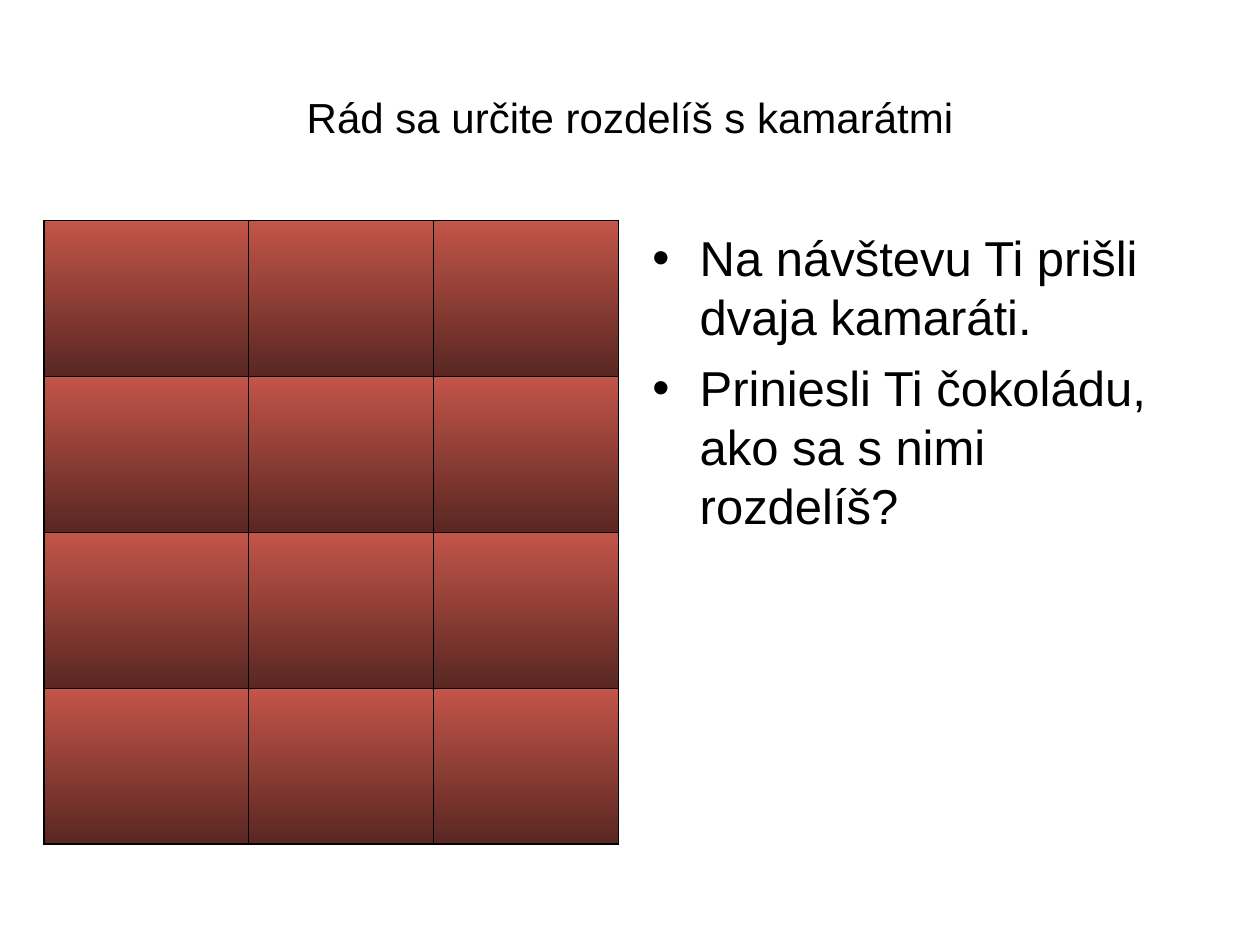
from lxml import etree
from pptx import Presentation
from pptx.dml.color import RGBColor
from pptx.enum.text import MSO_ANCHOR, PP_ALIGN
from pptx.oxml.ns import qn
from pptx.util import Pt

MIDDLE = MSO_ANCHOR.MIDDLE
CENTER = PP_ALIGN.CENTER

TITLE = "Rád sa určite rozdelíš s kamarátmi"
BULLETS = [
    "Na návštevu Ti prišli dvaja kamaráti.",
    "Priniesli Ti čokoládu, ako sa s nimi rozdelíš?",
]
COLORS = {"text": "000000", "border": "000000", "light": "C35549", "dark": "5A2722"}
FONT = "Arial"
TITLE_BOX = (36, 21.6, 648, 90)
BULLET_BOX = (365.76, 126.72, 318.24, 356.4)
CHOCOLATE_ORIGIN = (25.2, 126)
COLUMN_WIDTHS = [116.64, 105.84, 105.84]
ROW_HEIGHTS = [89.1] * 4
OUTER_LINE, INNER_LINE = 1.08, 0.45
BULLET_INDENT = 27


def style_font(paragraph, size):
    """Set the common font of a paragraph."""
    paragraph.font.name = FONT
    paragraph.font.size = Pt(size)
    paragraph.font.color.rgb = RGBColor.from_string(COLORS["text"])


def add_title(slide):
    """Place and format the title placeholder."""
    title = slide.shapes.title
    title.left, title.top, title.width, title.height = map(Pt, TITLE_BOX)
    title.text_frame.text = TITLE
    title.text_frame.vertical_anchor = MIDDLE
    paragraph = title.text_frame.paragraphs[0]
    paragraph.alignment = CENTER
    style_font(paragraph, 24)


def add_bullets(slide):
    """Add the bulleted text on the right."""
    text_frame = slide.shapes.add_textbox(*map(Pt, BULLET_BOX)).text_frame
    text_frame.word_wrap = True
    text_frame.text = "\n".join(BULLETS)
    for index, paragraph in enumerate(text_frame.paragraphs):
        if index:
            paragraph.space_before = Pt(7)
        properties = paragraph._p.get_or_add_pPr()
        properties.set("marL", str(Pt(BULLET_INDENT)))
        properties.set("indent", str(-Pt(BULLET_INDENT)))
        etree.SubElement(properties, qn("a:buFont"), typeface=FONT)
        etree.SubElement(properties, qn("a:buChar"), char="•")
        style_font(paragraph, 28)


def add_border(cell, side, width):
    """Draw one side of a cell."""
    properties = cell._tc.get_or_add_tcPr()
    line = etree.SubElement(properties, qn(f"a:ln{side}"), w=str(Pt(width)))
    fill = etree.SubElement(line, qn("a:solidFill"))
    etree.SubElement(fill, qn("a:srgbClr"), val=COLORS["border"])


def fill_gradient(cell):
    """Shade a cell from light at the top to dark at the bottom."""
    cell.fill.gradient()
    cell.fill.gradient_angle = 270
    for stop, name, position in zip(cell.fill.gradient_stops, ("light", "dark"), (0, 1)):
        stop.color.rgb = RGBColor.from_string(COLORS[name])
        stop.position = position


def add_chocolate(slide):
    """Add the chocolate bar as a table of shaded pieces."""
    row_count, column_count = len(ROW_HEIGHTS), len(COLUMN_WIDTHS)
    size = (sum(COLUMN_WIDTHS), sum(ROW_HEIGHTS))
    table = slide.shapes.add_table(
        row_count, column_count, *map(Pt, CHOCOLATE_ORIGIN + size)
    ).table
    table.first_row = table.horz_banding = False
    for column, width in zip(table.columns, COLUMN_WIDTHS):
        column.width = Pt(width)
    for row_index, height in enumerate(ROW_HEIGHTS):
        table.rows[row_index].height = Pt(height)
        for column_index in range(column_count):
            cell = table.cell(row_index, column_index)
            outer_sides = {
                "L": column_index == 0,
                "R": column_index == column_count - 1,
                "T": row_index == 0,
                "B": row_index == row_count - 1,
            }
            for side, is_outer in outer_sides.items():
                add_border(cell, side, OUTER_LINE if is_outer else INNER_LINE)
            fill_gradient(cell)


def main():
    """Build the slide and save it."""
    presentation = Presentation()
    presentation.slide_width, presentation.slide_height = Pt(720), Pt(540)
    slide = presentation.slides.add_slide(presentation.slide_layouts[5])
    add_title(slide)
    add_bullets(slide)
    add_chocolate(slide)
    presentation.save("out.pptx")


if __name__ == "__main__":
    main()
